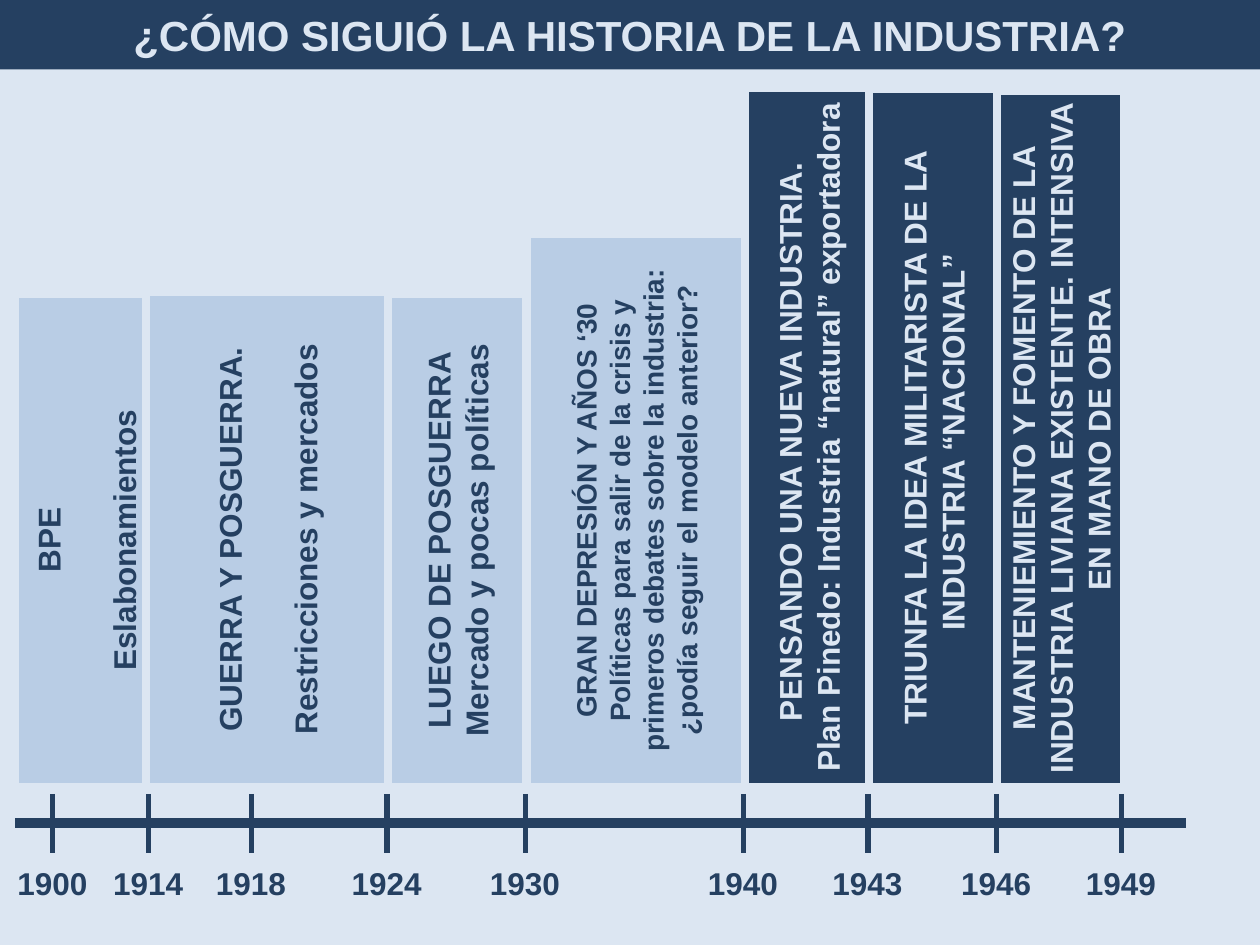
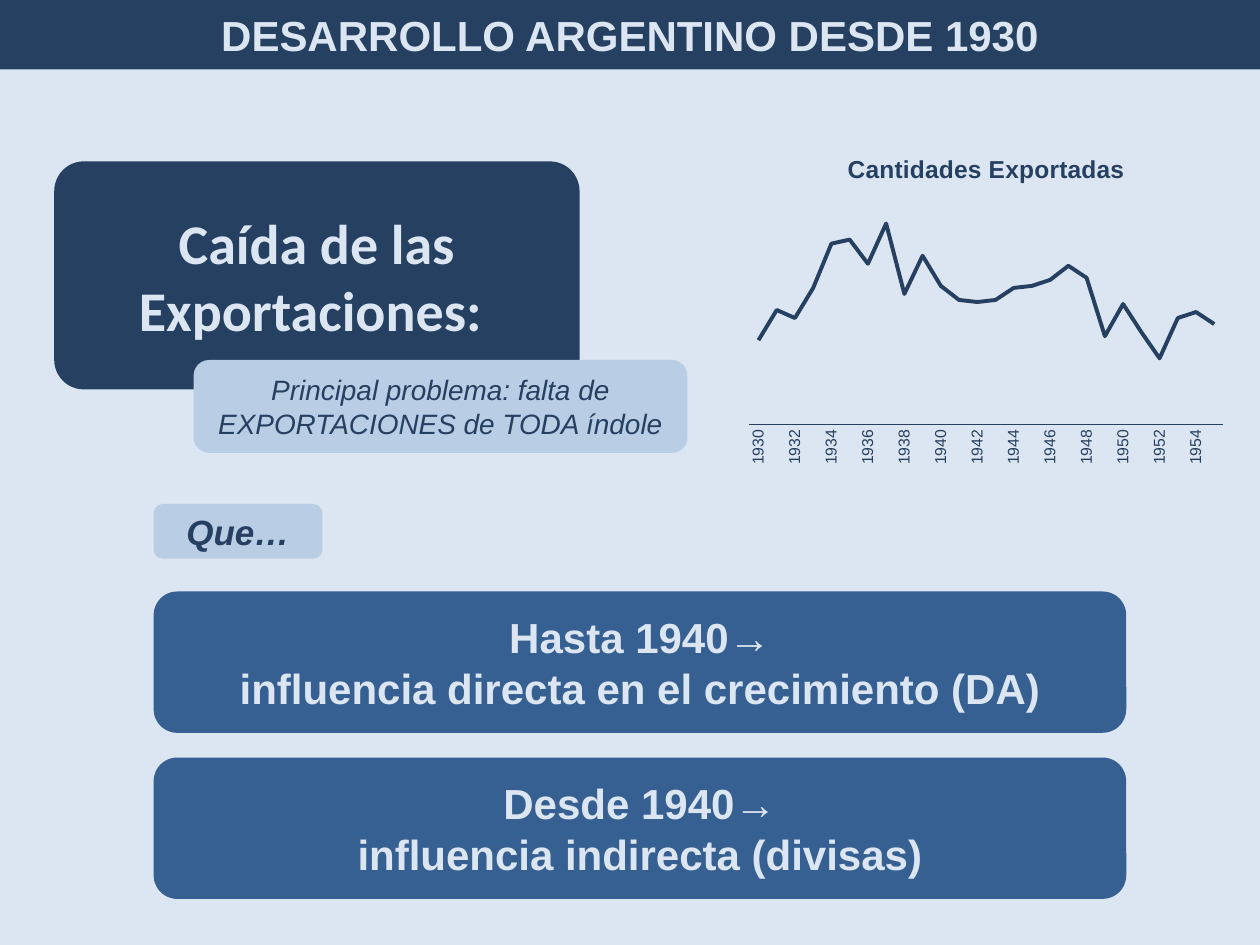
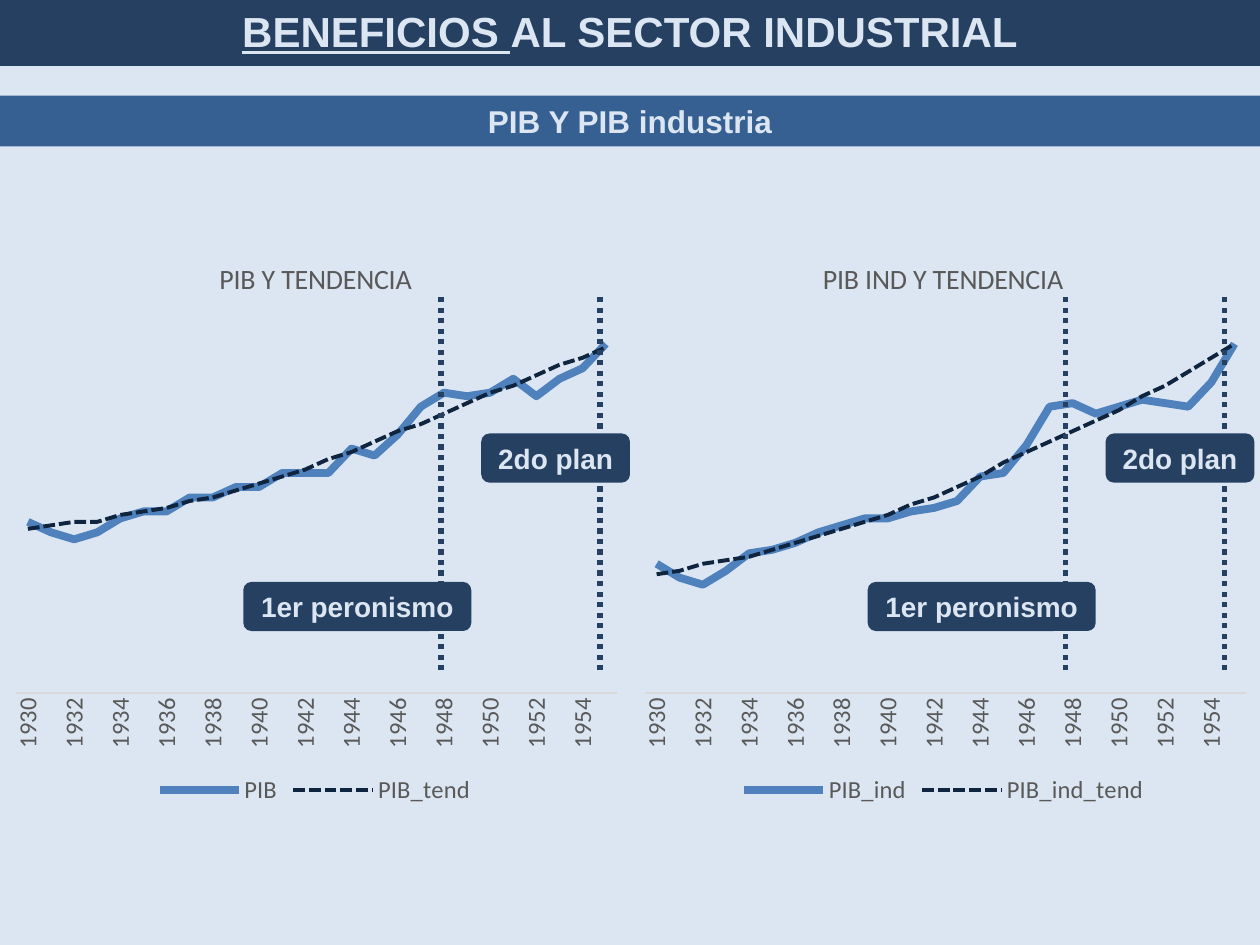
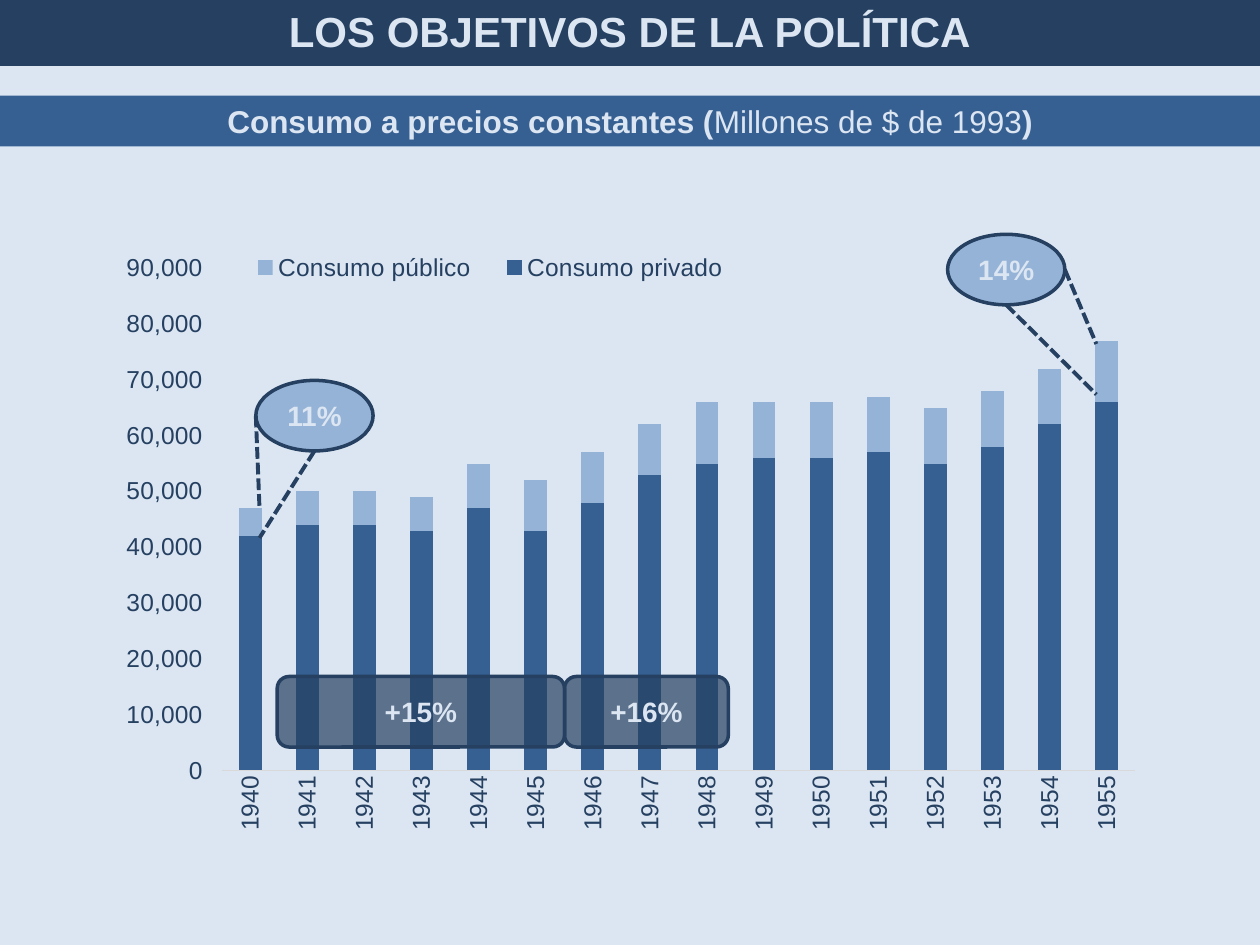
from lxml import etree
from pptx import Presentation
from pptx import util as u
from pptx.chart import data
from pptx.dml.color import RGBColor
from pptx.enum import chart as charts
from pptx.enum import dml, shapes, text
from pptx.oxml import ns

Pt = u.Pt
NAVY, STEEL, SKY, PALE = "254061", "376092", "B9CDE5", "DCE6F2"
MIST, BLUE, INK, GRAY, RULE = "95B3D7", "4F81BD", "0F243E", "595959", "D9D9D9"
WIDTH, HEIGHT = 720, 540
BAND_HEIGHT = 39.6
RECT = shapes.MSO_SHAPE.RECTANGLE
ROUNDED = shapes.MSO_SHAPE.ROUNDED_RECTANGLE
OVAL = shapes.MSO_SHAPE.OVAL
DOTS = dml.MSO_LINE.ROUND_DOT
DASHES = dml.MSO_LINE.SQUARE_DOT
YEARS = [str(year) for year in range(1930, 1956)]

PERIODS = [
    (8.6, 167.8, 76.3, SKY, 18, ["BPE", "Eslabonamientos"], 21.5),
    (83.5, 167, 138.2, SKY, 18, ["GUERRA Y POSGUERRA.", "Restricciones y mercados"], 21.5),
    (221.8, 167.8, 78.5, SKY, 18, ["LUEGO DE POSGUERRA", "Mercado y pocas políticas"], 0),
    (301, 134, 124.6, SKY, 16, [
        "GRAN DEPRESIÓN Y AÑOS ‘30",
        "Políticas para salir de la crisis y primeros debates sobre la industria: "
        "¿podía seguir el modelo anterior?"], 0),
    (425.5, 50.4, 72.7, NAVY, 18, [
        "PENSANDO UNA NUEVA INDUSTRIA. ",
        "Plan Pinedo: Industria “natural” exportadora"], 0),
    (496.8, 51.1, 72.7, NAVY, 18, [
        "TRIUNFA LA IDEA MILITARISTA DE LA INDUSTRIA “NACIONAL” "], 0),
    (569.5, 51.8, 72.7, NAVY, 18, [
        "MANTENIEMIENTO Y FOMENTO DE LA INDUSTRIA LIVIANA EXISTENTE. "
        "INTENSIVA EN MANO DE OBRA"], 0),
]
MILESTONES = {1900: 30.2, 1914: 85, 1918: 143.7, 1924: 221.2, 1930: 300.3,
              1940: 424.8, 1943: 496, 1946: 569.5, 1949: 640.8}

EXPORTS = [42, 57, 53, 68, 90, 92, 80, 100, 65, 84, 69, 62, 61,
           62, 68, 69, 72, 79, 73, 44, 60, 46, 33, 53, 56, 50]
GDP = {
    "PIB": [49, 46, 44, 46, 50, 52, 52, 56, 56, 59, 59, 63, 63,
            63, 70, 68, 74, 82, 86, 85, 86, 90, 85, 90, 93, 100],
    "PIB_tend": [47, 48, 49, 49, 51, 52, 53, 55, 56, 58, 60, 62, 64,
                 67, 69, 72, 75, 77, 80, 83, 86, 88, 91, 94, 96, 99],
}
INDUSTRY_GDP = {
    "PIB_ind": [37, 33, 31, 35, 40, 41, 43, 46, 48, 50, 50, 52, 53,
                55, 62, 63, 71, 82, 83, 80, 82, 84, 83, 82, 89, 100],
    "PIB_ind_tend": [34, 35, 37, 38, 39, 41, 43, 45, 47, 49, 51, 54, 56,
                     59, 62, 66, 69, 72, 75, 78, 81, 85, 88, 92, 96, 100],
}
CONSUMPTION = {
    "Consumo privado": [42000, 44000, 44000, 43000, 47000, 43000, 48000, 53000,
                        55000, 56000, 56000, 57000, 55000, 58000, 62000, 66000],
    "Consumo público": [5000, 6000, 6000, 6000, 8000, 9000, 9000, 9000,
                        11000, 10000, 10000, 10000, 10000, 10000, 10000, 11000],
}


def rgb(value):
    return RGBColor.from_string(value)


def points(*lengths):
    return [Pt(length) for length in lengths]


def set_font(font, size, color, name="Arial", bold=False, italic=False):
    font.size, font.name = Pt(size), name
    font.bold, font.italic = bold, italic
    font.color.rgb = rgb(color)


def set_line(line, color, width, dash=None):
    line.color.rgb = rgb(color)
    line.width = Pt(width)
    if dash:
        line.dash_style = dash


def write(frame, paragraphs, size, color, gap=0, align=text.PP_ALIGN.CENTER, **style):
    for index, content in enumerate(paragraphs):
        paragraph = frame.paragraphs[0] if index == 0 else frame.add_paragraph()
        paragraph.alignment = align
        if index and gap:
            paragraph.space_before = Pt(gap)
        set_font(paragraph.font, size, color, **style)
        for part in [(content, {})] if isinstance(content, str) else content:
            run = paragraph.add_run()
            run.text = part[0]
            for attribute, value in part[1].items():
                setattr(run.font, attribute, value)


def add_box(slide, kind, box, fill, paragraphs, size, color=PALE, outline=None,
            opacity=None, **style):
    shape = slide.shapes.add_shape(kind, *points(*box))
    shape.shadow.inherit = False
    shape.fill.solid()
    shape.fill.fore_color.rgb = rgb(fill)
    if opacity:
        solid = shape.fill._xPr.find(ns.qn("a:solidFill"))
        etree.SubElement(solid[0], ns.qn("a:alpha"), val=str(opacity * 1000))
    if outline:
        set_line(shape.line, *outline)
    else:
        shape.line.fill.background()
    shape.text_frame.word_wrap = True
    shape.text_frame.vertical_anchor = text.MSO_ANCHOR.MIDDLE
    write(shape.text_frame, paragraphs, size, color, **style)
    return shape


def add_line(slide, start, end, width, dash=None):
    line = slide.shapes.add_connector(
        shapes.MSO_CONNECTOR.STRAIGHT, *points(*start, *end))
    set_line(line.line, NAVY, width, dash)
    etree.SubElement(line.element.spPr, ns.qn("a:effectLst"))


def add_title(slide, content, top=0):
    band = add_box(slide, ROUNDED, (0, top, WIDTH, BAND_HEIGHT), NAVY, [content], 24, bold=True)
    band.adjustments[0] = 0


def add_subtitle(slide, content):
    add_box(slide, RECT, (0, 54.6, WIDTH, 29.1), STEEL, [content], 18, bold=True)


def set_layout(parent, index, x, y, w=None, h=None, inner=False):
    for old in parent.findall(ns.qn("c:layout")):
        parent.remove(old)
    layout = etree.Element(ns.qn("c:layout"))
    manual = etree.SubElement(layout, ns.qn("c:manualLayout"))
    settings = [("layoutTarget", "inner" if inner else None),
                ("xMode", "edge"), ("yMode", "edge"),
                ("x", x), ("y", y), ("w", w), ("h", h)]
    for tag, value in settings:
        if value is not None:
            etree.SubElement(manual, ns.qn("c:" + tag), val=str(value))
    parent.insert(index, layout)


def add_plot(slide, kind, box, years, series, plot_area, top_value, size, color,
             font="Arial", rule=RULE, label_step=1):
    chart_data = data.CategoryChartData()
    chart_data.categories = years
    for name, values in series.items():
        chart_data.add_series(name, values)
    chart = slide.shapes.add_chart(kind, *points(*box), chart_data).chart
    chart.has_title = chart.has_legend = False
    set_font(chart.font, size, color, font)
    chart.plots[0].vary_by_categories = False
    set_layout(chart.element.find(".//" + ns.qn("c:plotArea")), 0, *plot_area, inner=True)

    years_axis, values_axis = chart.category_axis, chart.value_axis
    for axis in (years_axis, values_axis):
        axis.major_tick_mark = axis.minor_tick_mark = charts.XL_TICK_MARK.NONE
        axis.has_major_gridlines = False
        set_font(axis.tick_labels.font, size, color, font)
    values_axis.minimum_scale, values_axis.maximum_scale = 0, top_value
    set_line(years_axis.format.line, rule, 0.75)
    values_axis.format.line.fill.background()

    axis_xml = years_axis._element
    turned = axis_xml.find(".//" + ns.qn("a:bodyPr"))
    turned.set("rot", "-5400000")
    turned.set("vert", "horz")
    skip = etree.Element(ns.qn("c:tickLblSkip"), val=str(label_step))
    axis_xml.find(ns.qn("c:noMultiLvlLbl")).addprevious(skip)
    return chart


def add_line_plot(slide, box, series, plot_area, styles, title, title_at, title_size,
                  size, color, font, rule, title_bold=False):
    chart = add_plot(slide, charts.XL_CHART_TYPE.LINE, box, YEARS, series, plot_area,
                     120, size, color, font, rule, 2)
    chart.value_axis.visible = False
    for line, style in zip(chart.plots[0].series, styles):
        line.smooth = False
        set_line(line.format.line, *style)
    chart.has_title = True
    write(chart.chart_title.text_frame, [title], title_size, color, name=font, bold=title_bold)
    set_layout(chart.chart_title._element, 1, *title_at)
    return chart


def add_legend(chart, position, size, color, font):
    chart.has_legend = True
    chart.legend.position = position
    chart.legend.include_in_layout = False
    set_font(chart.legend.font, size, color, font)


def draw_periods(slide, bottom):
    for left, top, width, fill, size, paragraphs, gap in PERIODS:
        period = add_box(slide, RECT, (left, top, width, bottom - top), fill, paragraphs, size,
                         NAVY if fill == SKY else PALE, outline=(PALE, 4.5), gap=gap, bold=True)
        frame = period.text_frame
        frame.margin_left = frame.margin_right = Pt(7.2)
        frame.margin_top = frame.margin_bottom = Pt(1.44)
        frame._txBody.bodyPr.set("vert", "vert270")
        if paragraphs[0] == "BPE":
            frame.vertical_anchor = text.MSO_ANCHOR.BOTTOM


def draw_time_axis(slide, left, top, width):
    middle = top + 16.6
    add_line(slide, (left, middle), (left + width, middle), 6)
    for year, x in MILESTONES.items():
        add_line(slide, (x, top), (x, top + 33.8), 3)
        label = slide.shapes.add_textbox(*points(x - 27.4, top + 36.7, 54.7, 29))
        label.text_frame.word_wrap = False
        write(label.text_frame, [str(year)], 18, NAVY, align=text.PP_ALIGN.LEFT, bold=True)


def draw_exports_chart(slide, box):
    add_line_plot(slide, box, {"Series 1": EXPORTS}, (0.02, 0.15, 0.96, 0.71),
                  [(NAVY, 2.25)], "Cantidades Exportadas", (0.21, 0.05), 14,
                  9, NAVY, "Arial", NAVY, title_bold=True)


def draw_exports_problem(slide, left, top):
    headline = add_box(slide, ROUNDED, (left, top, 300.2, 130.3), NAVY,
                       ["Caída de las Exportaciones: "], 32, name="Calibri", bold=True)
    headline.adjustments[0] = 0.13
    add_box(slide, ROUNDED, (left + 79.6, top + 113.5, 282.2, 53.1), SKY,
            ["Principal problema: falta de EXPORTACIONES de TODA índole"],
            16, NAVY, italic=True)


def draw_influences(slide, left, top, width):
    add_box(slide, ROUNDED, (left, top, 96.5, 31.2), SKY, ["Que…"], 20, NAVY,
            bold=True, italic=True)
    influences = [("Hasta 1940→", "influencia directa en el crecimiento (DA)"),
                  ("Desde 1940→", "influencia indirecta (divisas)")]
    for row, paragraphs in enumerate(influences):
        add_box(slide, ROUNDED, (left, top + 50 + 94.9 * row, width, 80.8), STEEL,
                paragraphs, 24, bold=True)


def draw_trend_panel(slide, box, title, title_x, series, shift=0):
    left, top = box[:2]
    chart = add_line_plot(slide, box, series, (0.026, 0.083, 0.954, 0.717),
                          [(BLUE, 4.5), (INK, 2.25, DASHES)], title, (title_x, 0.05), 16,
                          14, GRAY, "Calibri", RULE)
    add_legend(chart, charts.XL_LEGEND_POSITION.BOTTOM, 14, GRAY, "Calibri")
    for x in (252, 342.8):
        x += left + shift
        add_line(slide, (x, top + 254.2), (x, top + 38.9), 3, DOTS)
    for label, x, y, width in [("1er peronismo", 139, 203.6, 130.3),
                               ("2do plan", 275, 118.8, 85)]:
        add_box(slide, ROUNDED, (left + x + shift, top + y, width, 28.1), NAVY,
                [label], 16, bold=True)


def draw_consumption(slide, box):
    left, top = box[:2]
    chart = add_plot(slide, charts.XL_CHART_TYPE.COLUMN_STACKED, box, YEARS[10:], CONSUMPTION,
                     (0.122, 0.051, 0.877, 0.755), 90000, 14, NAVY)
    chart.plots[0].gap_width, chart.plots[0].overlap = 150, 100
    for column, color in zip(chart.plots[0].series, (STEEL, MIST)):
        column.format.fill.solid()
        column.format.fill.fore_color.rgb = rgb(color)
    chart.value_axis.major_unit = 10000
    chart.value_axis.tick_labels.number_format = r"#,##0\ \ "
    chart.value_axis.tick_labels.number_format_is_linked = False
    add_legend(chart, charts.XL_LEGEND_POSITION.RIGHT, 14, NAVY, "Arial")
    set_layout(chart.legend._element, 1, 0.13, 0.02, 0.5, 0.06)

    shares = [("14%", 487.5, 0, [(1, 0.5, 572.5, 62.7), (0.5, 1, 572.5, 91.5)]),
              ("11%", 92.2, 83.5, [(0.5, 1, 94.3, 173.5), (0, 0.5, 94.3, 156.3)])]
    width, height = 67, 40.3
    for share, x, y, pointers in shares:
        add_box(slide, OVAL, (left + x, top + y, width, height), MIST, [share], 16,
                outline=(NAVY, 2), bold=True)
        for across, down, end_x, end_y in pointers:
            add_line(slide, (left + x + across * width, top + y + down * height),
                     (left + end_x, top + end_y), 2.25, DASHES)
    for growth, x, span in [("+16%", 268.6, 93.6), ("+15%", 104.4, 164.2)]:
        add_box(slide, ROUNDED, (left + x, top + 252.7, span, height), NAVY, [growth], 16,
                outline=(NAVY, 2), opacity=70, bold=True)


def new_slide(deck):
    slide = deck.slides.add_slide(deck.slide_layouts[6])
    slide.background.fill.solid()
    slide.background.fill.fore_color.rgb = rgb(PALE)
    return slide


def main():
    deck = Presentation()
    deck.slide_width, deck.slide_height = points(WIDTH, HEIGHT)

    history = new_slide(deck)
    add_title(history, "¿CÓMO SIGUIÓ LA HISTORIA DE LA INDUSTRIA?")
    draw_time_axis(history, 8.6, 453.6, 669)
    draw_periods(history, 449.6)

    development = new_slide(deck)
    draw_exports_problem(development, 31, 92.2)
    draw_influences(development, 87.8, 288, 555.8)
    draw_exports_chart(development, (422.6, 75.6, 282.2, 194.4))
    add_title(development, "DESARROLLO ARGENTINO DESDE 1930")

    benefits = new_slide(deck)
    add_title(benefits, [("BENEFICIOS ", {"underline": True}), ("AL SECTOR INDUSTRIAL", {})], -2)
    add_subtitle(benefits, "PIB Y PIB industria")
    draw_trend_panel(benefits, (0, 128.9, 360, 334), "PIB Y TENDENCIA", 0.34, GDP)
    draw_trend_panel(benefits, (359.3, 128.9, 360, 334), "PIB IND Y TENDENCIA", 0.3,
                     INDUSTRY_GDP, -2.5)

    goals = new_slide(deck)
    add_subtitle(goals, [("Consumo a precios constantes (", {}),
                         ("Millones de $ de 1993", {"bold": False}), (")", {})])
    draw_consumption(goals, (54, 133.9, 595.4, 380.2))
    add_title(goals, "LOS OBJETIVOS DE LA POLÍTICA", -2)

    deck.save("out.pptx")


if __name__ == "__main__":
    main()
